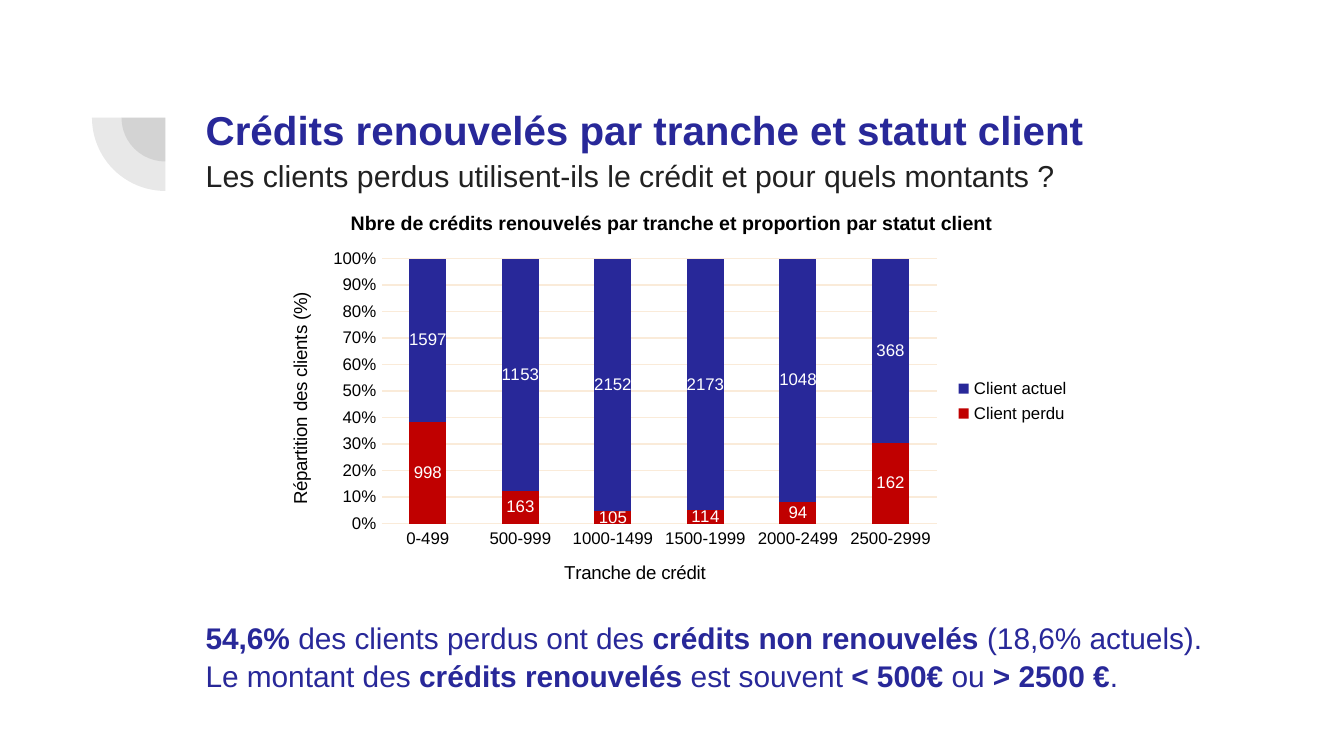
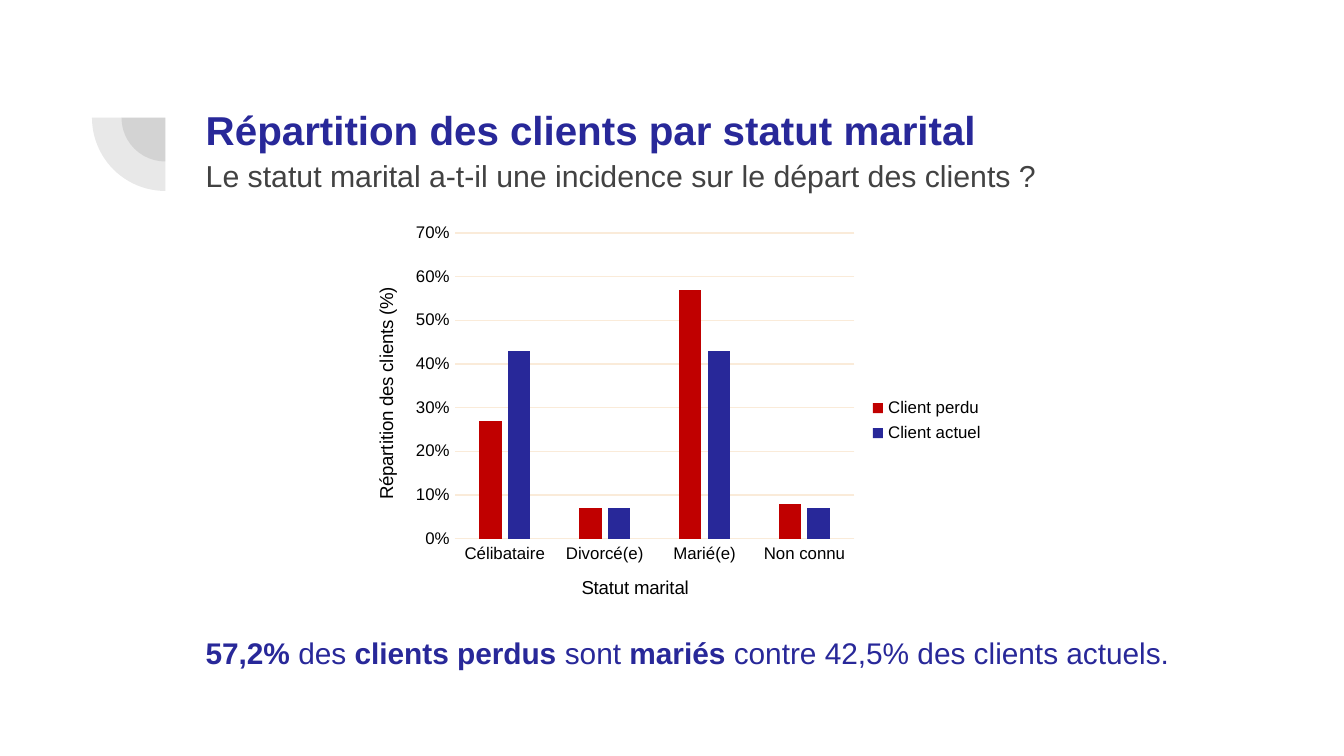
from dataclasses import dataclass

from lxml.etree import SubElement
from pptx import Presentation
from pptx.chart.axis import _BaseAxis as Axis
from pptx.chart.chart import Chart
from pptx.chart.data import CategoryChartData
from pptx.dml.color import RGBColor
from pptx.enum.chart import XL_CHART_TYPE as ChartType
from pptx.enum.chart import XL_LABEL_POSITION as LabelPosition
from pptx.enum.chart import XL_LEGEND_POSITION as LegendPosition
from pptx.enum.chart import XL_TICK_MARK as TickMark
from pptx.enum.shapes import MSO_SHAPE as Preset
from pptx.enum.text import MSO_ANCHOR as Anchor
from pptx.enum.text import MSO_AUTO_SIZE as AutoSize
from pptx.enum.text import PP_ALIGN as Align
from pptx.oxml.ns import qn
from pptx.slide import Slide
from pptx.text.text import Font
from pptx.util import Pt

FONT = "Arial"
BLUE, RED, GREY = "282899", "C00000", "424242"
BLACK, WHITE, GRID = "000000", "FFFFFF", "FAEBD9"
LOST, CURRENT = "Client perdu", "Client actuel"
SERIES_COLOURS = {LOST: RED, CURRENT: BLUE}
TEXT_LEFT = 103


@dataclass
class Box:
    left: float
    top: float
    width: float
    height: float

    def lengths(self) -> tuple[Pt, ...]:
        return Pt(self.left), Pt(self.top), Pt(self.width), Pt(self.height)


@dataclass
class ClientChart:
    kind: ChartType
    box: Box
    categories: list[str]
    series: dict[str, list[float]]
    axis_title: str
    gap: int
    overlap: int
    title: str = ""
    labels: bool = False
    maximum: float | None = None
    step: float | None = None


@dataclass
class ChartSlide:
    title: str
    question: str
    question_colour: str
    chart: ClientChart
    findings: list[str]  # words between asterisks are bold
    findings_box: Box


# Slide contents
SLIDES = [
    ChartSlide(
        "Crédits renouvelés par tranche et statut client",
        "Les clients perdus utilisent-ils le crédit et pour quels montants ?",
        "212121",
        ClientChart(
            ChartType.COLUMN_STACKED_100, Box(139.7, 102.2, 440.6, 225.4),
            ["0-499", "500-999", "1000-1499", "1500-1999", "2000-2499", "2500-2999"],
            {LOST: [998, 163, 105, 114, 94, 162],
             CURRENT: [1597, 1153, 2152, 2173, 1048, 368]},
            "Tranche de crédit", gap=150, overlap=100, labels=True,
            title="Nbre de crédits renouvelés par tranche et proportion par statut client"),
        ["*54,6% *des clients perdus ont des *crédits non renouvelés* (18,6% actuels).",
         "Le montant des *crédits renouvelés* est souvent *< 500€ *ou* > 2500 €*."],
        Box(TEXT_LEFT, 327.6, 563, 46)),
    ChartSlide(
        "Répartition des clients par statut marital",
        "Le statut marital a-t-il une incidence sur le départ des clients ?",
        GREY,
        ClientChart(
            ChartType.COLUMN_CLUSTERED, Box(185.8, 115.2, 348.5, 220.3),
            ["Célibataire", "Divorcé(e)", "Marié(e)", "Non connu"],
            {LOST: [0.27, 0.07, 0.57, 0.08], CURRENT: [0.43, 0.07, 0.43, 0.07]},
            "Statut marital", gap=219, overlap=-27, maximum=0.7, step=0.1),
        ["*57,2% *des *clients perdus *sont *mariés* contre 42,5% des clients actuels."],
        Box(TEXT_LEFT, 335.5, 543.6, 26.6)),
]


def rgb(colour: str) -> RGBColor:
    return RGBColor.from_string(colour)


def style_font(font: Font, size: float, colour: str, bold: bool = False) -> None:
    font.name, font.size, font.bold = FONT, Pt(size), bold
    font.color.rgb = rgb(colour)


# Parts shared by the slides
def add_corner(slide: Slide) -> None:
    """Two translucent quarter discs that share one corner."""
    centre_x, centre_y = 88.6, 63
    for radius in (23.5, 39.3):
        box = Box(centre_x - radius, centre_y - radius, 2 * radius, 2 * radius)
        disc = slide.shapes.add_shape(Preset.PIE, *box.lengths())
        disc.rotation = 270
        disc.adjustments[0], disc.adjustments[1] = 108, 162
        disc.shadow.inherit = False
        disc.line.fill.background()
        disc.fill.solid()
        disc.fill.fore_color.rgb = rgb(GREY)
        colour = disc._element.spPr.find(qn("a:solidFill"))[0]
        SubElement(colour, qn("a:alpha"), val="12000")


def set_title(slide: Slide, content: ChartSlide) -> None:
    title = slide.shapes.title
    title.left, title.top, title.width, title.height = Box(
        TEXT_LEFT, 46.8, 553.7, 65).lengths()
    frame = title.text_frame
    frame.text = f"{content.title}\n{content.question}"
    frame.word_wrap, frame.auto_size = True, AutoSize.NONE
    frame.vertical_anchor = Anchor.TOP
    frame.margin_left = frame.margin_right = Pt(7.2)
    frame.margin_top = frame.margin_bottom = Pt(7.2)
    styles = [(21.6, BLUE, True), (16.2, content.question_colour, False)]
    for paragraph, style in zip(frame.paragraphs, styles):
        paragraph.alignment = Align.LEFT
        paragraph.line_spacing = 1.1
        style_font(paragraph.runs[0].font, *style)


def add_findings(slide: Slide, content: ChartSlide) -> None:
    frame = slide.shapes.add_textbox(*content.findings_box.lengths()).text_frame
    frame.word_wrap = True
    frame.auto_size = AutoSize.SHAPE_TO_FIT_TEXT
    for index, line in enumerate(content.findings):
        paragraph = frame.add_paragraph() if index else frame.paragraphs[0]
        paragraph.line_spacing = 1.05
        for position, part in enumerate(line.split("*")):
            if part:
                run = paragraph.add_run()
                run.text = part
                style_font(run.font, 16, BLUE, bold=position % 2 == 1)


# Charts
def style_axis(axis: Axis, title: str) -> None:
    frame = axis.axis_title.text_frame
    frame.text = title
    style_font(frame.paragraphs[0].runs[0].font, 10, BLACK)
    style_font(axis.tick_labels.font, 9, BLACK)
    axis.major_tick_mark = axis.minor_tick_mark = TickMark.NONE


def style_axes(chart: Chart, content: ClientChart) -> None:
    category_axis, value_axis = chart.category_axis, chart.value_axis
    style_axis(category_axis, content.axis_title)
    style_axis(value_axis, "Répartition des clients (%)")
    value_axis.tick_labels.number_format = "0%"
    value_axis.tick_labels.number_format_is_linked = False
    value_axis.maximum_scale, value_axis.major_unit = content.maximum, content.step
    value_axis.format.line.fill.background()
    for line in (category_axis.format.line, value_axis.major_gridlines.format.line):
        line.color.rgb = rgb(GRID)
        line.width = Pt(0.75)


def add_client_chart(slide: Slide, content: ClientChart) -> None:
    data = CategoryChartData()
    data.categories = content.categories
    for name, values in content.series.items():
        data.add_series(name, values)
    chart = slide.shapes.add_chart(content.kind, *content.box.lengths(), data).chart
    style_font(chart.font, 10, BLACK)
    chart.has_title = bool(content.title)
    if content.title:
        frame = chart.chart_title.text_frame
        frame.text = content.title
        style_font(frame.paragraphs[0].runs[0].font, 10.5, BLACK, bold=True)
    chart.has_legend = True
    chart.legend.position = LegendPosition.RIGHT
    chart.legend.include_in_layout = False
    style_font(chart.legend.font, 9, BLACK)
    style_axes(chart, content)

    plot = chart.plots[0]
    plot.gap_width, plot.overlap = content.gap, content.overlap
    plot.vary_by_categories = False
    for series in plot.series:
        series.format.fill.solid()
        series.format.fill.fore_color.rgb = rgb(SERIES_COLOURS[series.name])
        if content.labels:
            labels = series.data_labels
            labels.show_value = True
            labels.position = LabelPosition.CENTER
            style_font(labels.font, 9, WHITE)


def main() -> None:
    presentation = Presentation()
    presentation.slide_width, presentation.slide_height = Pt(720), Pt(405)
    title_only = presentation.slide_layouts[5]
    for content in SLIDES:
        slide = presentation.slides.add_slide(title_only)
        add_corner(slide)
        set_title(slide, content)
        add_findings(slide, content)
        add_client_chart(slide, content.chart)
    presentation.save("out.pptx")


if __name__ == "__main__":
    main()
